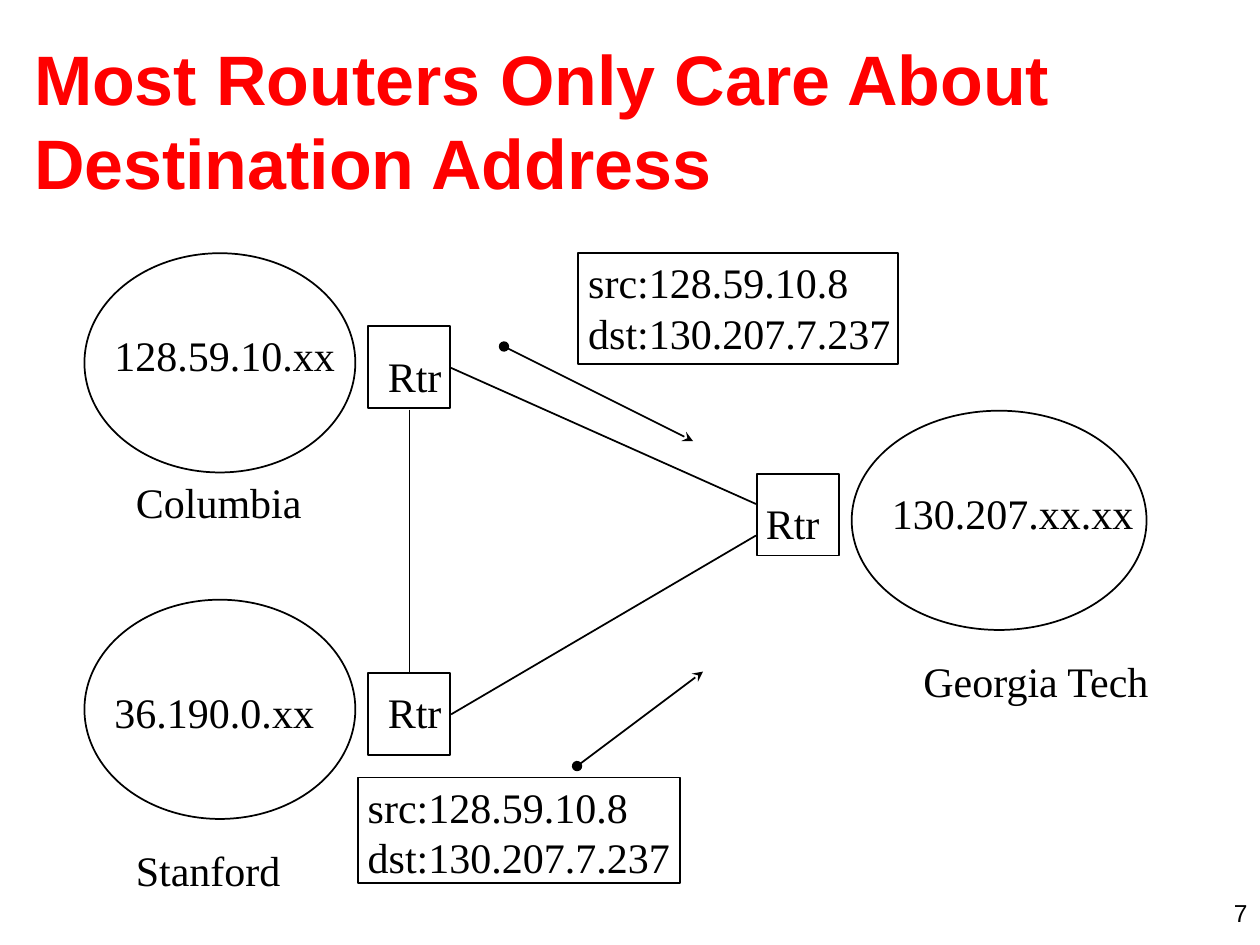
from lxml import etree
from pptx import Presentation
from pptx.dml.color import RGBColor
from pptx.enum.shapes import MSO_CONNECTOR, MSO_SHAPE
from pptx.enum.text import MSO_ANCHOR, MSO_AUTO_SIZE, PP_ALIGN
from pptx.oxml.ns import qn
from pptx.util import Inches, Pt

BLACK = RGBColor(0x00, 0x00, 0x00)
RED = RGBColor(0xFF, 0x00, 0x00)
RECT, OVAL = MSO_SHAPE.RECTANGLE, MSO_SHAPE.OVAL
STRAIGHT = MSO_CONNECTOR.STRAIGHT
LEFT, RIGHT = PP_ALIGN.LEFT, PP_ALIGN.RIGHT
TOP, MIDDLE = MSO_ANCHOR.TOP, MSO_ANCHOR.MIDDLE
NO_AUTOFIT = MSO_AUTO_SIZE.NONE

SERIF, SANS = "Times New Roman", "Arial"
ROUTER_SIZE = 0.65
LABEL_HEIGHT = 0.5


def set_font(p, name, size, color=BLACK, bold=False):
    p.font.name = name
    p.font.size = Pt(size)
    p.font.bold = bold
    p.font.color.rgb = color


def add_outline(slide, kind, box):
    s = slide.shapes.add_shape(kind, *map(Inches, box))
    s.shadow.inherit = False
    s.fill.background()
    s.line.color.rgb = BLACK
    s.line.width = Pt(1)


def add_text(slide, box, lines, font=SERIF, size=24, align=LEFT, wrap=False):
    tf = slide.shapes.add_textbox(*map(Inches, box)).text_frame
    tf.word_wrap = wrap
    tf.vertical_anchor = TOP
    tf.text = "\n".join(lines)
    for p in tf.paragraphs:
        p.alignment = align
        set_font(p, font, size)


def add_line(slide, start, end, arrow=False):
    c = slide.shapes.add_connector(STRAIGHT, *map(Inches, start + end))
    c.line.color.rgb = BLACK
    c.line.width = Pt(1)
    if arrow:
        ln = c.line._get_or_add_ln()
        etree.SubElement(ln, qn("a:headEnd"), type="oval")
        etree.SubElement(ln, qn("a:tailEnd"), type="stealth")
    etree.SubElement(c._element.spPr, qn("a:effectLst"))


def add_title(slide, box, text):
    title = slide.shapes.title
    title.left, title.top, title.width, title.height = map(Inches, box)
    tf = title.text_frame
    tf.word_wrap = True
    tf.auto_size = NO_AUTOFIT
    tf.vertical_anchor = MIDDLE
    tf.text = text
    p = tf.paragraphs[0]
    p.alignment = LEFT
    set_font(p, SANS, 40, RED, bold=True)


def add_network(slide, box, address, address_box, name, name_box):
    add_outline(slide, OVAL, box)
    add_text(slide, (*address_box, LABEL_HEIGHT), [address])
    add_text(slide, (*name_box, LABEL_HEIGHT), [name])


def add_router(slide, left, top, label_left, label_top):
    add_outline(slide, RECT, (left, top, ROUTER_SIZE, ROUTER_SIZE))
    add_text(slide, (label_left, label_top, 0.63, LABEL_HEIGHT), ["Rtr"])


def add_packet(slide, box, start, end):
    left, top, _, _ = box
    add_outline(slide, RECT, box)
    add_text(slide, (left - 0.02, top - 0.02, 2.6, 0.9),
             ["src:128.59.10.8", "dst:130.207.7.237"])
    add_line(slide, start, end, arrow=True)


def main():
    prs = Presentation()
    prs.slide_width, prs.slide_height = Inches(10), Inches(7.5)
    slide = prs.slides.add_slide(prs.slide_layouts[5])

    add_title(slide, (0.17, 0.32, 9.58, 1.25),
              "Most Routers Only Care About Destination Address")

    # Networks: outline, address, (left, top, width) of address, name, same of name
    networks = [
        ((0.67, 2.01, 2.15, 1.74), "128.59.10.xx", (0.81, 2.57, 1.95),
         "Columbia", (0.98, 3.73, 1.52)),
        ((0.67, 4.76, 2.15, 1.74), "36.190.0.xx", (0.81, 5.4, 1.79),
         "Stanford", (0.98, 6.65, 1.35)),
        ((6.76, 3.26, 2.34, 1.74), "130.207.xx.xx", (6.98, 3.82, 2.12),
         "Georgia Tech", (7.23, 5.15, 2.03)),
    ]
    for network in networks:
        add_network(slide, *network)

    # Routers and the links between them
    for router in [(2.92, 2.59, 2.98, 2.73), (2.92, 5.34, 2.98, 5.4),
                   (6.01, 3.76, 5.98, 3.9)]:
        add_router(slide, *router)
    for start, end in [((3.58, 2.92), (6, 4)), ((3.58, 5.67), (6, 4.25)),
                       ((3.25, 3.25), (3.25, 5.33))]:
        add_line(slide, start, end)

    # Packets with their direction of travel
    add_packet(slide, (4.59, 2.01, 2.54, 0.88), (4, 2.75), (5.5, 3.5))
    add_packet(slide, (2.84, 6.17, 2.56, 0.84), (4.58, 6.08), (5.58, 5.33))

    # Slide number
    add_text(slide, (7.67, 7.08, 2.33, 0.25), ["7"], SANS, 14, RIGHT, wrap=True)

    prs.save("out.pptx")


if __name__ == "__main__":
    main()
